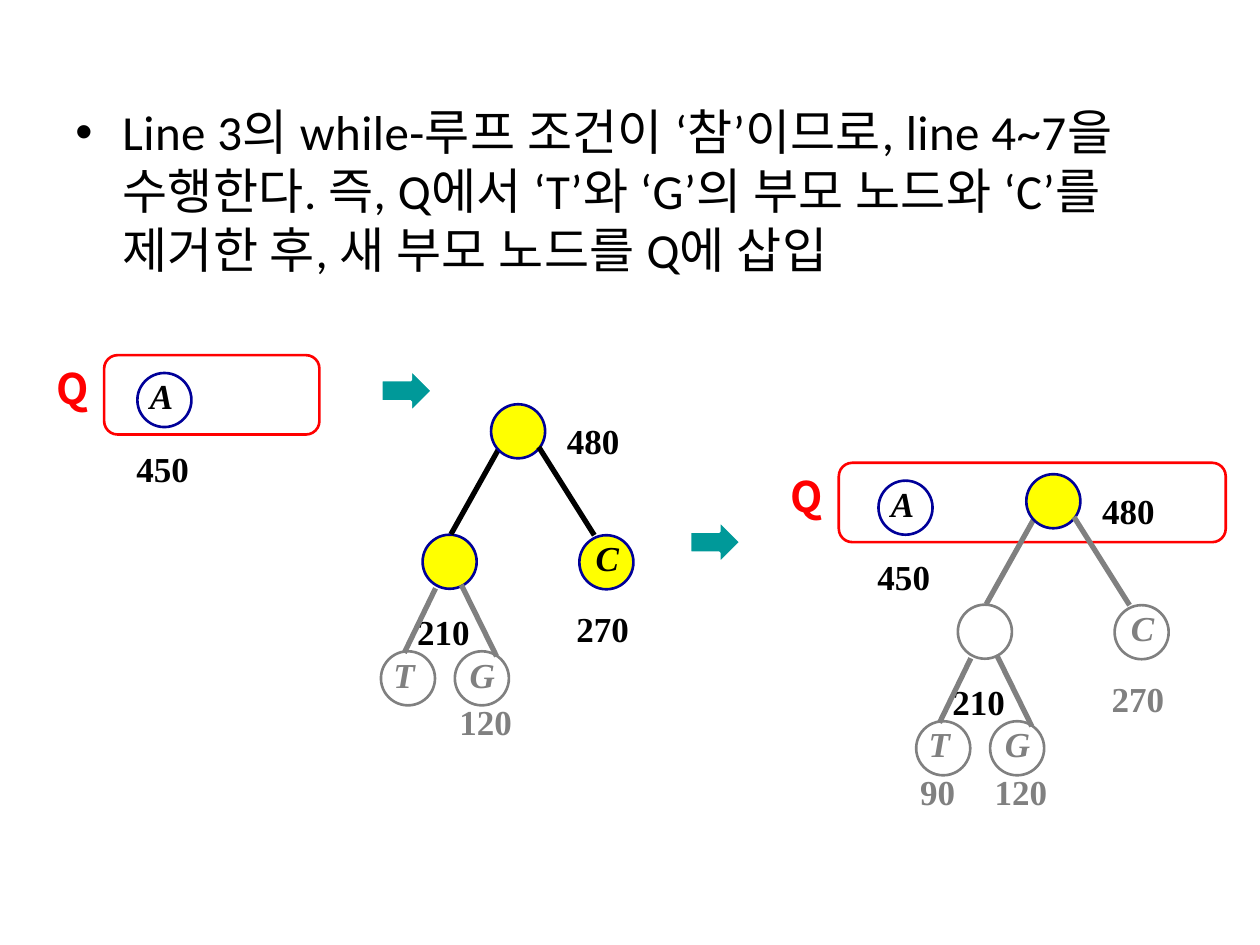
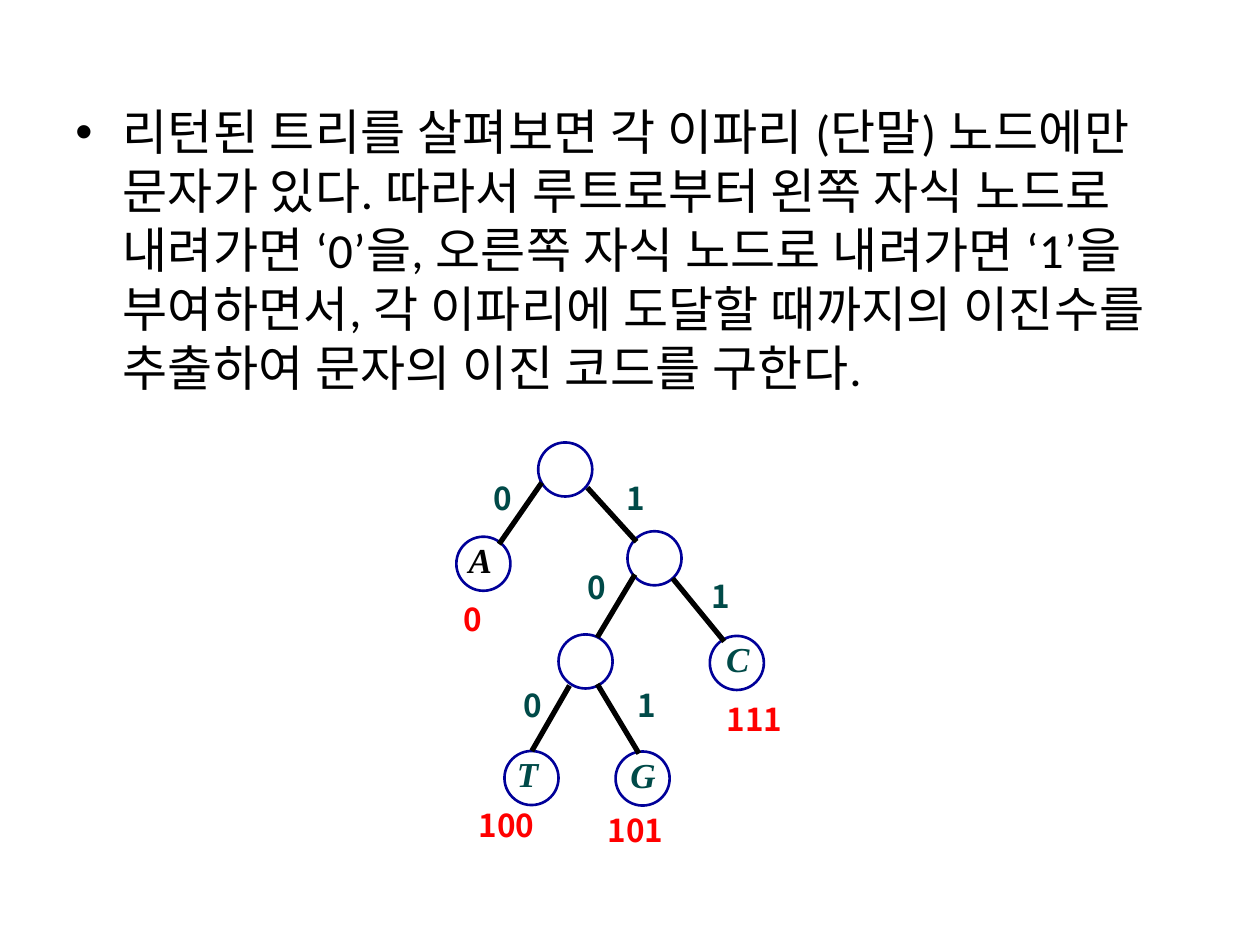
import dataclasses

import lxml.etree
import pptx
import pptx.dml.color
import pptx.enum.shapes
import pptx.oxml.ns
import pptx.util

Cm = pptx.util.Cm
Pt = pptx.util.Pt
SHAPES = pptx.enum.shapes.MSO_SHAPE
qn = pptx.oxml.ns.qn


@dataclasses.dataclass(frozen=True)
class Theme:
    body_font: str = "Calibri"
    node_font: str = "Times New Roman"
    code_font: str = "Noto Sans CJK KR"
    body_size: int = 28
    body_tracking: int = 25
    queue_size: int = 24
    node_size: int = 20
    code_size: int = 18
    outline: float = 1.5
    edge_width: float = 3
    black: str = "000000"
    white: str = "FFFFFF"
    navy: str = "000099"
    red: str = "FF0000"
    gray: str = "808080"
    yellow: str = "FFFF00"
    teal: str = "009999"
    dark_teal: str = "004A48"


THEME = Theme()
NODE_DIAMETER = 1.09
LETTER_SHIFT = {"A": 0, "T": 0, "G": 0.05, "C": 0.08}


def rgb(value):
    return pptx.dml.color.RGBColor.from_string(value)


def add_run(para, text, font_name, size, color, bold=False, italic=False):
    span = para.add_run()
    span.text = text
    span.font.name = font_name
    span.font.size = Pt(size)
    span.font.color.rgb = rgb(color)
    span.font.bold = bold
    span.font.italic = italic
    properties = span.font._element
    east_asian = lxml.etree.SubElement(properties, qn("a:ea"))
    east_asian.set("typeface", font_name)
    return span


def add_box(page, left, top, width, height):
    box = page.shapes.add_textbox(Cm(left), Cm(top), Cm(width), Cm(height))
    box.text_frame.word_wrap = True
    return box.text_frame.paragraphs[0]


def add_body(page, text):
    para = add_box(page, 1.27, 1.93, 22.86, 15.09)
    properties = para._p.get_or_add_pPr()
    properties.set("marL", str(Cm(0.95)))
    properties.set("indent", str(-Cm(0.95)))
    bullet_font = lxml.etree.SubElement(properties, qn("a:buFont"))
    bullet_font.set("typeface", "Arial")
    bullet = lxml.etree.SubElement(properties, qn("a:buChar"))
    bullet.set("char", "•")
    span = add_run(para, text, THEME.body_font, THEME.body_size, THEME.black)
    span.font._element.set("spc", str(THEME.body_tracking))


def add_number(page, text, left, top, color=THEME.black):
    para = add_box(page, left, top, 1.88, 1.11)
    add_run(para, text, THEME.node_font, THEME.node_size, color, bold=True)


def add_code(page, text, left, top, color):
    width = 0.71 * len(text)
    para = add_box(page, left, top, width, 1.02)
    add_run(para, text, THEME.code_font, THEME.code_size, color, bold=True)


def add_outlined(page, kind, left, top, width, height, line, fill=None):
    shape = page.shapes.add_shape(kind, Cm(left), Cm(top), Cm(width), Cm(height))
    shape.shadow.inherit = False
    if fill:
        shape.fill.solid()
        shape.fill.fore_color.rgb = rgb(fill)
    else:
        shape.fill.background()
    shape.line.color.rgb = rgb(line)
    shape.line.width = Pt(THEME.outline)
    return shape


def add_node(page, left, top, letter="", line=THEME.navy, fill=None, color=THEME.black):
    add_outlined(page, SHAPES.OVAL, left, top, NODE_DIAMETER, NODE_DIAMETER, line, fill)
    if letter:
        para = add_box(page, left + LETTER_SHIFT[letter], top - 0.09, 1, 1.11)
        add_run(para, letter, THEME.node_font, THEME.node_size, color, bold=True, italic=True)


def add_edge(page, start, end, color=THEME.black):
    points = [Cm(value) for value in (*start, *end)]
    edge = page.shapes.add_connector(pptx.enum.shapes.MSO_CONNECTOR.STRAIGHT, *points)
    edge.line.color.rgb = rgb(color)
    edge.line.width = Pt(THEME.edge_width)
    lxml.etree.SubElement(edge._element.spPr, qn("a:effectLst"))


def add_arrow(page, left, top):
    add_outlined(page, SHAPES.RIGHT_ARROW, left, top, 1.02, 0.86, THEME.white, THEME.teal)


def add_queue(page, left, top, width, node_left):
    frame = add_outlined(page, SHAPES.ROUNDED_RECTANGLE, left, top, width, 1.6, THEME.red)
    frame.adjustments[0] = 0.17
    para = add_box(page, left - 1.22, top + 0.03, 0.8, 1.28)
    add_run(para, "Q", THEME.code_font, THEME.queue_size, THEME.red, bold=True)
    add_node(page, node_left, top + 0.36, "A")
    add_number(page, "450", node_left - 0.27, top + 1.74)


def add_merged_tree(page, dx=0, dy=0, merged=False):
    child_line = THEME.gray if merged else THEME.navy
    child_color = THEME.gray if merged else THEME.black
    inner_fill = THEME.white if merged else THEME.yellow
    right_fill = None if merged else THEME.yellow

    def move(left, top):
        return left + dx, top + dy

    add_node(page, *move(11.68, 10.79), "C", child_line, right_fill, child_color)
    add_number(page, "270", *move(11.37, 12.12), child_color)
    add_node(page, *move(8.52, 10.78), "", child_line, inner_fill)
    add_number(page, "210", *move(8.16, 12.19))
    for letter, left in (("T", 7.68), ("G", 9.17)):
        add_node(page, *move(left, 13.13), letter, THEME.gray, color=THEME.gray)
    add_number(page, "120", *move(9.01, 14), THEME.gray)
    if merged:
        add_number(page, "90", *move(7.51, 14), THEME.gray)
    add_edge(page, move(8.78, 11.86), move(8.15, 13.16), THEME.gray)
    add_edge(page, move(9.3, 11.79), move(10.01, 13.23), THEME.gray)
    add_edge(page, move(10.07, 9.02), move(9.09, 10.77), child_color)
    add_node(page, *move(9.9, 8.15), fill=THEME.yellow)
    add_edge(page, move(10.86, 9.01), move(11.98, 10.79), child_color)
    add_number(page, "480", *move(11.18, 8.33))


def add_code_tree(page):
    for left, top in ((10.85, 8.92), (12.65, 10.71), (11.26, 12.79)):
        add_node(page, left, top)
    add_node(page, 9.2, 10.82, "A")
    for letter, left, top in (("C", 14.31, 12.82), ("T", 10.17, 15.14), ("G", 12.41, 15.15)):
        add_node(page, left, top, letter, color=THEME.dark_teal)
    edges = (
        ((10.92, 9.73), (10.06, 10.97)),
        ((11.84, 9.83), (12.83, 10.92)),
        ((12.8, 11.58), (12.04, 12.85)),
        ((13.56, 11.66), (14.6, 12.93)),
        ((11.48, 13.82), (10.72, 15.14)),
        ((12.04, 13.79), (12.88, 15.19)),
    )
    for start, end in edges:
        add_edge(page, start, end)
    branch_bits = {
        "0": ((9.7, 9.53), (11.6, 11.33), (10.3, 13.7)),
        "1": ((12.38, 9.53), (14.1, 11.51), (12.6, 13.7)),
    }
    for bit, places in branch_bits.items():
        for left, top in places:
            add_code(page, bit, left, top, THEME.dark_teal)
    leaf_codes = (("0", 9.09, 11.97), ("111", 14.4, 13.99), ("101", 12, 16.22), ("100", 9.4, 16.13))
    for code, left, top in leaf_codes:
        add_code(page, code, left, top, THEME.red)


def add_page(deck, text):
    page = deck.slides.add_slide(deck.slide_layouts[6])
    add_body(page, text)
    return page


def main():
    deck = pptx.Presentation()
    deck.slide_width = Cm(25.4)
    deck.slide_height = Cm(19.05)

    page = add_page(
        deck,
        "Line 3의 while-루프 조건이 ‘참’이므로, line 4~7을 수행한다. "
        "즉, Q에서 ‘T’와 ‘G’의 부모 노드와 ‘C’를 제거한 후, "
        "새 부모 노드를 Q에 삽입",
    )
    add_queue(page, 2.1, 7.16, 4.34, 2.77)
    add_queue(page, 16.91, 9.33, 7.8, 17.71)
    add_merged_tree(page)
    add_merged_tree(page, 10.79, 1.41, merged=True)
    add_arrow(page, 7.69, 7.45)
    add_arrow(page, 13.91, 10.5)

    page = add_page(
        deck,
        "리턴된 트리를 살펴보면 각 이파리 (단말) 노드에만 문자가 있다. "
        "따라서 루트로부터 왼쪽 자식 노드로 내려가면 ‘0’을, "
        "오른쪽 자식 노드로 내려가면 ‘1’을 부여하면서, "
        "각 이파리에 도달할 때까지의 이진수를 추출하여 문자의 이진 코드를 구한다.",
    )
    add_code_tree(page)

    deck.save("out.pptx")


if __name__ == "__main__":
    main()
